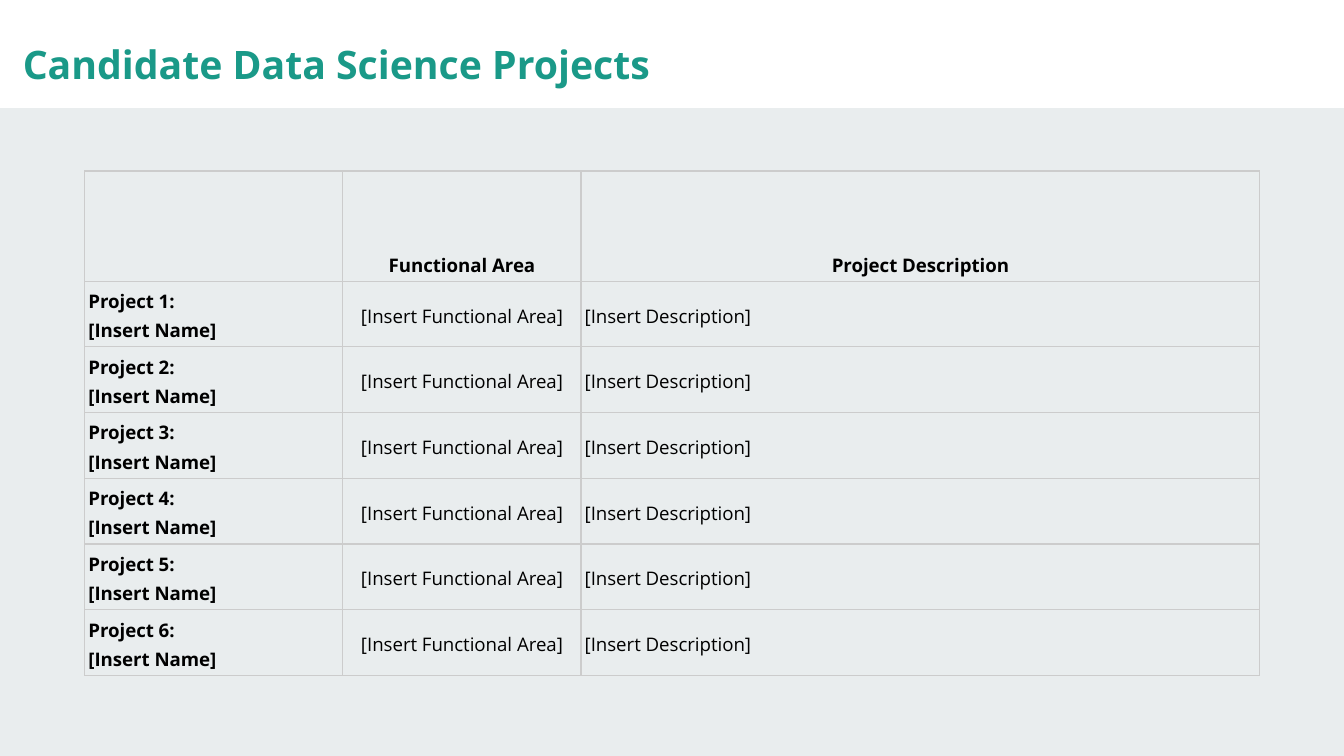
"""Build the slide of candidate data science projects."""
from lxml import etree
from pptx import Presentation, util as u
from pptx.dml.color import RGBColor
from pptx.enum import shapes, text
from pptx.oxml.ns import qn

TITLE = "Candidate Data Science Projects"
HEAD = ["", "Functional Area", "Project Description"]
ROWS = [[f"Project {n}:\n[Insert Name]", "[Insert Functional Area]", "[Insert Description]"]
        for n in range(1, 7)]
HUES = {"back": "E9EDEE", "band": "FFFFFF", "title": "1A9988", "ink": "000000", "rule": "CCCCCC"}
COLS = [4.88, 4.5, 4.32, 4.09, 4.42]
HIGH = [2.08] + [1.12] * len(ROWS)
LEFT, MID = text.PP_ALIGN.LEFT, text.PP_ALIGN.CENTER
TOP, CORE, LOW = text.MSO_ANCHOR.TOP, text.MSO_ANCHOR.MIDDLE, text.MSO_ANCHOR.BOTTOM
SIDES = ["left", "right", "top", "bottom"]


def give(thing, **values):
    for name, value in values.items():
        setattr(thing, name, value)


def paint(fill, hue):
    fill.solid()
    fill.fore_color.rgb = RGBColor.from_string(HUES[hue])


def write(frame, words, size, hue, bold, align):
    frame.text = words
    for para in frame.paragraphs:
        give(para, alignment=align, line_spacing=1.15, space_before=u.Pt(0))
        for font in [para.font] + [run.font for run in para.runs]:
            give(font, name="Open Sans", size=u.Pt(size), bold=bold)
            font.color.rgb = RGBColor.from_string(HUES[hue])


def edge(cell):
    props = cell._tc.get_or_add_tcPr()
    for spot, side in enumerate("LRTB"):
        line = etree.Element(qn(f"a:ln{side}"), w=str(u.Pt(0.75)))
        fill = etree.SubElement(line, qn("a:solidFill"))
        etree.SubElement(fill, qn("a:srgbClr"), val=HUES["rule"])
        props.insert(spot, line)


deck = Presentation()
give(deck, slide_width=u.Cm(25.4), slide_height=u.Cm(14.28))
slide = deck.slides.add_slide(deck.slide_layouts[5])
paint(slide.background.fill, "back")

band = slide.shapes.add_shape(shapes.MSO_SHAPE.RECTANGLE, 0, 0, deck.slide_width, u.Cm(2.04))
band.shadow.inherit = False
paint(band.fill, "band")
band.line.fill.background()

title = slide.shapes.title
title.element.addprevious(band.element)
give(title, left=u.Cm(0.18), top=u.Cm(0.38), width=u.Cm(21.44), height=u.Cm(0.94))
write(title.text_frame, TITLE, 21, "title", True, LEFT)
give(title.text_frame, word_wrap=True, auto_size=text.MSO_AUTO_SIZE.NONE, vertical_anchor=TOP,
     **{f"margin_{side}": u.Cm(0.25) for side in SIDES})

grid = slide.shapes.add_table(len(HIGH), len(COLS), u.Cm(1.6), u.Cm(3.23),
                              u.Cm(sum(COLS)), u.Cm(sum(HIGH))).table
give(grid, first_row=False, horz_banding=False)
for col, width in zip(grid.columns, COLS):
    col.width = u.Cm(width)
for row, height in zip(grid.rows, HIGH):
    row.height = u.Cm(height)

for r, words in enumerate([HEAD] + ROWS):
    grid.cell(r, 2).merge(grid.cell(r, len(COLS) - 1))
    for c in range(len(COLS)):
        cell = grid.cell(r, c)
        cell.fill.background()
        edge(cell)
        give(cell, vertical_anchor=CORE if r else LOW,
             **{f"margin_{side}": u.Cm(0.07) for side in SIDES})
        if c < len(words):
            align = MID if c == 1 or r == 0 else LEFT
            write(cell.text_frame, words[c], 10, "ink", r == 0 or c == 0, align)

deck.save("out.pptx")
